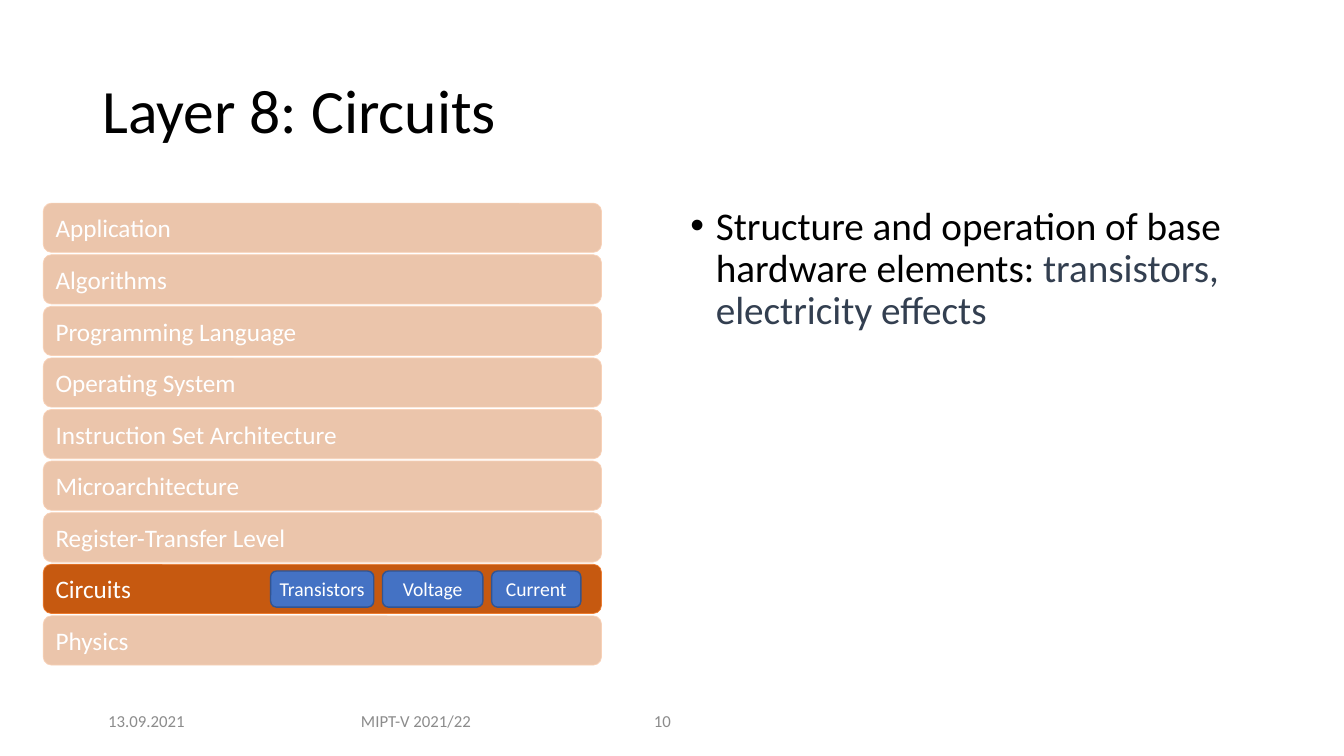
from dataclasses import dataclass

from lxml import etree
from pptx import Presentation
from pptx.dml.color import RGBColor
from pptx.enum.shapes import MSO_SHAPE
from pptx.enum.text import MSO_ANCHOR, PP_ALIGN
from pptx.oxml.ns import qn
from pptx.util import Cm, Pt

RECT, ROUNDED = MSO_SHAPE.RECTANGLE, MSO_SHAPE.ROUNDED_RECTANGLE
TOP, MIDDLE = MSO_ANCHOR.TOP, MSO_ANCHOR.MIDDLE
LEFT, CENTER = PP_ALIGN.LEFT, PP_ALIGN.CENTER


@dataclass(frozen=True)
class Theme:
    font: str = "Calibri"
    black: str = "000000"
    white: str = "FFFFFF"
    accent_text: str = "333F50"
    footer_text: str = "8C8C8C"
    layer: str = "C65910"
    layer_line: str = "ED7D31"
    chip: str = "4472C4"
    chip_line: str = "325491"
    title_size: int = 44
    body_size: int = 28
    layer_size: int = 18
    chip_size: int = 14
    footer_size: int = 12


T = Theme()


def write(sp, *runs, size, align=LEFT, anchor=MIDDLE, wrap=True, spacing=None, bullet=False):
    """Fill a shape with one paragraph; each run is a (text, colour) pair."""
    tf = sp.text_frame
    tf.word_wrap = wrap
    tf.vertical_anchor = anchor
    p = tf.paragraphs[0]
    p.alignment = align
    if spacing:
        p.line_spacing = spacing
    if bullet:
        pPr = p._p.get_or_add_pPr()
        pPr.set("marL", str(Cm(0.64)))
        pPr.set("indent", str(Cm(-0.64)))
        etree.SubElement(pPr, qn("a:buFont"), typeface="Arial")
        etree.SubElement(pPr, qn("a:buChar"), char="•")
    for text, color in runs:
        r = p.add_run()
        r.text = text
        r.font.name = T.font
        r.font.size = Pt(size)
        r.font.color.rgb = RGBColor.from_string(color)


def add_box(kind, x, y, w, h, fill, line=None, line_width=0, opacity=None):
    sp = s.shapes.add_shape(kind, Cm(x), Cm(y), Cm(w), Cm(h))
    sp.shadow.inherit = False
    sp.fill.solid()
    sp.fill.fore_color.rgb = RGBColor.from_string(fill)
    if opacity:
        color = sp.fill._xPr.find(qn("a:solidFill"))[0]
        etree.SubElement(color, qn("a:alpha"), val=str(opacity * 1000))
    if line:
        sp.line.color.rgb = RGBColor.from_string(line)
        sp.line.width = Pt(line_width)
    else:
        sp.line.fill.background()
    return sp


prs = Presentation()
prs.slide_width, prs.slide_height = Cm(33.87), Cm(19.05)
s = prs.slides.add_slide(prs.slide_layouts[6])

# Title and description
title = s.shapes.add_textbox(Cm(2.33), Cm(1.01), Cm(29.21), Cm(3.68))
write(title, ("Layer 8: Circuits", T.black), size=T.title_size, spacing=0.9)

body = s.shapes.add_textbox(Cm(17.15), Cm(5.07), Cm(14.4), Cm(12.09))
write(body, ("Structure and operation of base hardware elements: ", T.black),
      ("transistors, electricity effects", T.accent_text),
      size=T.body_size, anchor=TOP, spacing=0.9, bullet=True)

# Footer
for text, x, w, align in [("13.09.2021", 2.33, 2.72, CENTER),
                          ("MIPT-V 2021/22", 8.48, 4.01, CENTER),
                          ("10", 16.23, 2.01, LEFT)]:
    footer = s.shapes.add_textbox(Cm(x), Cm(17.66), Cm(w), Cm(1.01))
    write(footer, (text, T.footer_text), size=T.footer_size, align=align)

# Stack of layers
LAYERS = ["Application", "Algorithms", "Programming Language", "Operating System",
          "Instruction Set Architecture", "Microarchitecture",
          "Register-Transfer Level", "Circuits", "Physics"]
STACK_TOP, PITCH = 5.12, 1.3
for i, name in enumerate(LAYERS):
    layer = add_box(ROUNDED, 1.09, STACK_TOP + i * PITCH, 14.07, 1.24,
                    T.layer, T.layer_line, 0.5)
    write(layer, (name, T.white), size=T.layer_size, wrap=False)

# Veils fade every layer above and below the current one
current_top = STACK_TOP + LAYERS.index("Circuits") * PITCH
for x, y, h in [(0.28, 4.93, 9.25), (0, current_top + PITCH - 0.02, 1.55)]:
    add_box(RECT, x, y, 15.65, h, T.white, opacity=65)

# Topics of the current layer
x = 6.82
for name, w in [("Transistors", 2.6), ("Voltage", 2.53), ("Current", 2.25)]:
    chip = add_box(ROUNDED, x, current_top + 0.17, w, 0.91, T.chip, T.chip_line, 1)
    write(chip, (name, T.white), size=T.chip_size, align=CENTER, wrap=False)
    x += w + 0.22

prs.save("out.pptx")
